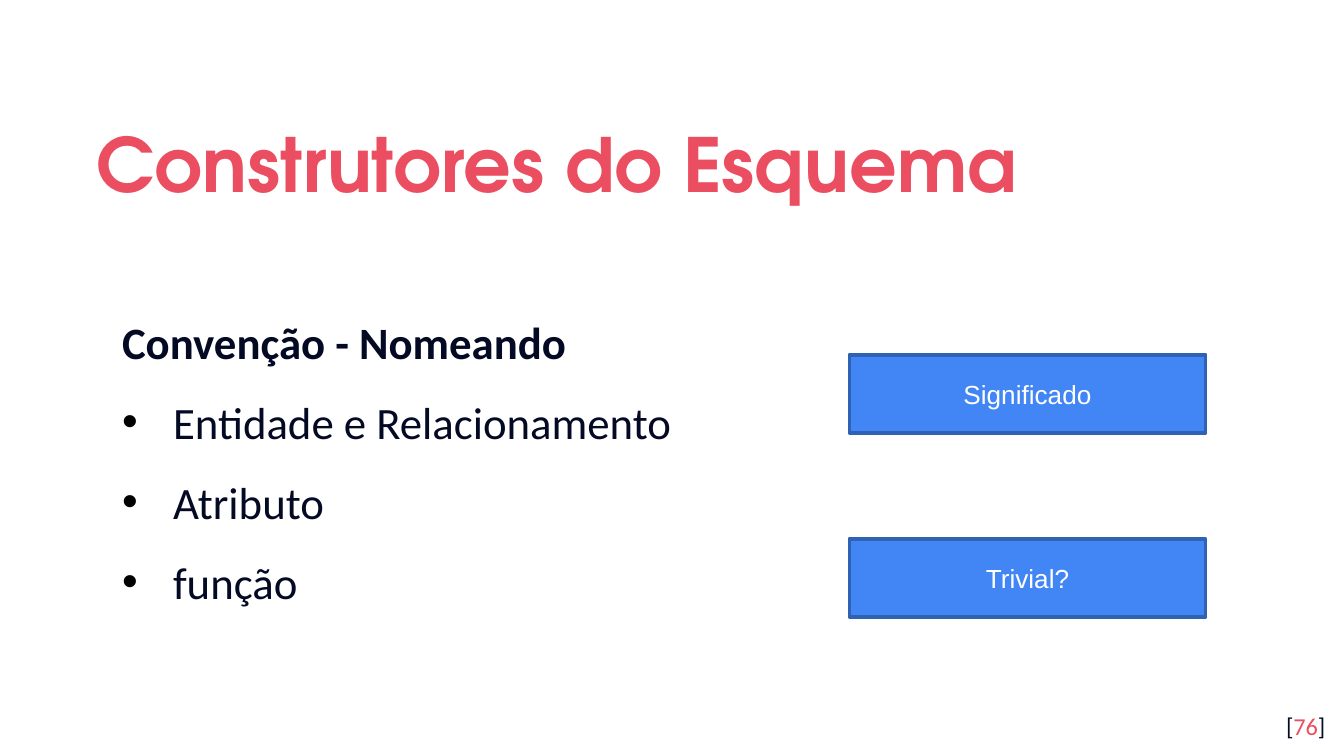
from lxml import etree
from pptx import Presentation
from pptx.dml.color import RGBColor
from pptx.enum.shapes import MSO_SHAPE
from pptx.enum.text import MSO_ANCHOR, MSO_AUTO_SIZE, PP_ALIGN
from pptx.oxml.ns import qn
from pptx.util import Inches, Pt

RECTANGLE = MSO_SHAPE.RECTANGLE
TOP, MIDDLE = MSO_ANCHOR.TOP, MSO_ANCHOR.MIDDLE
LEFT, CENTER, RIGHT, JUSTIFY = PP_ALIGN.LEFT, PP_ALIGN.CENTER, PP_ALIGN.RIGHT, PP_ALIGN.JUSTIFY
NO_RESIZE = MSO_AUTO_SIZE.NONE

THEME = {
    "accent": "EA4E60", "ink": "040A24", "bullet": "000000",
    "box": "4285F4", "border": "3062B4", "box_text": "FFFFFF",
    "title_font": "TeX Gyre Adventor", "body_font": "Calibri", "box_font": "Arial",
    "title_size": 40, "body_size": 24, "box_size": 14, "number_size": 13,
}

presentation = Presentation()
presentation.slide_width = Inches(10)
presentation.slide_height = presentation.slide_width * 9 // 16
COLUMN = presentation.slide_width / 100
ROW = presentation.slide_height / 56.25
slide = presentation.slides.add_slide(presentation.slide_layouts[5])


def area(left, top, width, height):
    return [round(left * COLUMN), round(top * ROW), round(width * COLUMN), round(height * ROW)]


def write(shape, paragraphs, font, size, color, align=LEFT, anchor=MIDDLE,
          inset=0.1, spacing=None, before=0, bold_first=False, bullets_from=None):
    frame = shape.text_frame
    frame.word_wrap, frame.auto_size, frame.vertical_anchor = True, NO_RESIZE, anchor
    frame.margin_left = frame.margin_right = Inches(0.1)
    frame.margin_top = frame.margin_bottom = Inches(inset)
    for index, runs in enumerate(paragraphs):
        paragraph = frame.add_paragraph() if index else frame.paragraphs[0]
        paragraph.alignment = align
        if spacing:
            paragraph.line_spacing = spacing
        paragraph.space_before = Pt(before if index else 0)
        if bullets_from is not None and index >= bullets_from:
            properties = paragraph._p.get_or_add_pPr()
            properties.set("marL", str(Inches(0.38)))
            properties.set("indent", str(-Inches(0.38)))
            bullet_color = etree.SubElement(properties, qn("a:buClr"))
            etree.SubElement(bullet_color, qn("a:srgbClr"), val=THEME["bullet"])
            etree.SubElement(properties, qn("a:buFont"), typeface="Arial")
            etree.SubElement(properties, qn("a:buChar"), char="•")
        for text, run_color in runs:
            run = paragraph.add_run()
            run.text = text
            run.font.name, run.font.size = font, Pt(size)
            run.font.bold = bold_first and index == 0
            run.font.color.rgb = RGBColor.from_string(run_color or color)


title = slide.shapes.title
title.left, title.top, title.width, title.height = area(6.2, 7, 87.7, 9.2)
write(title, [[("Construtores do Esquema", None)]], THEME["title_font"],
      THEME["title_size"], THEME["accent"], spacing=1.14, bold_first=True)

page_number = slide.shapes.add_textbox(*area(93.6, 51.9, 6, 4.3))
write(page_number, [[("[", None), ("76", THEME["accent"]), ("]", None)]],
      THEME["body_font"], THEME["number_size"], THEME["ink"], align=RIGHT, anchor=TOP)

body = slide.shapes.add_textbox(*area(8.1, 17, 83.6, 34.1))
lines = ["Convenção - Nomeando", "Entidade e Relacionamento", "Atributo", "função"]
write(body, [[(line, None)] for line in lines], THEME["body_font"], THEME["body_size"],
      THEME["ink"], align=JUSTIFY, spacing=1.14, before=10, bold_first=True, bullets_from=1)

for index, label in enumerate(["Significado", "Trivial?"]):
    box = slide.shapes.add_shape(RECTANGLE, *area(63.2, 26.4 + 13.7 * index, 26.5, 5.8))
    box.shadow.inherit = False
    box.fill.solid()
    box.fill.fore_color.rgb = RGBColor.from_string(THEME["box"])
    box.line.color.rgb = RGBColor.from_string(THEME["border"])
    box.line.width = Pt(2)
    write(box, [[(label, None)]], THEME["box_font"], THEME["box_size"],
          THEME["box_text"], align=CENTER, inset=0.05)

presentation.save("out.pptx")
